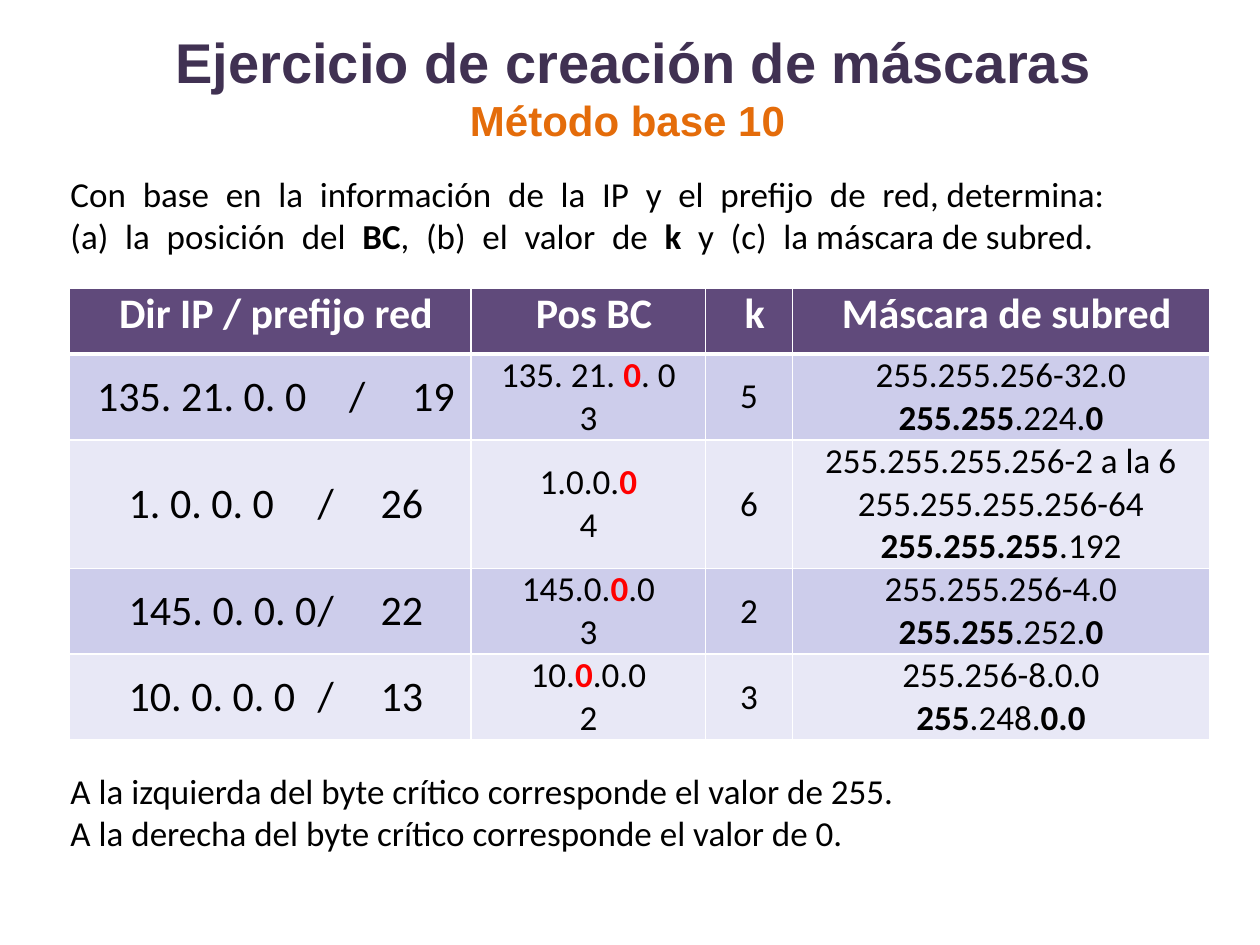
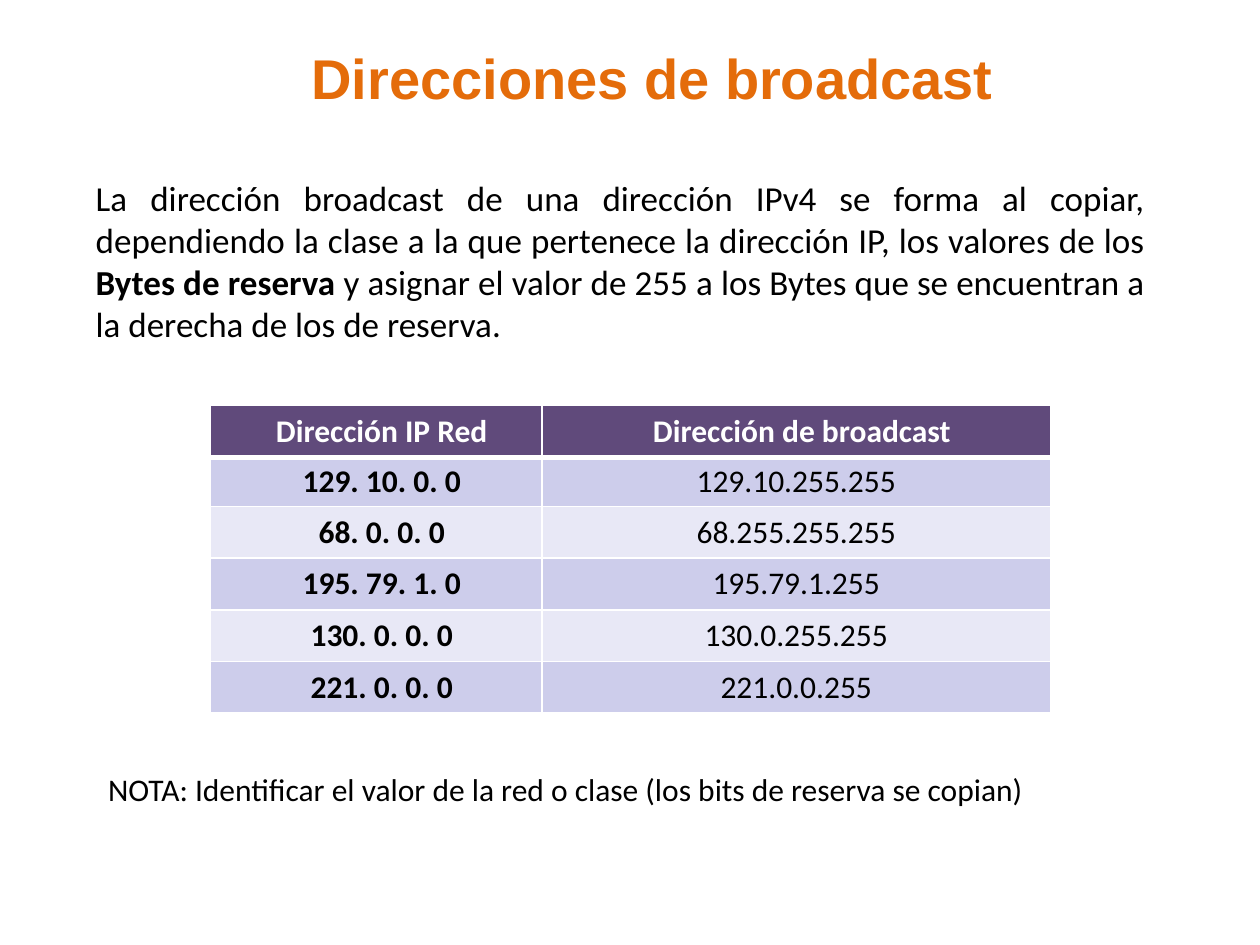
import pptx
import pptx.util
import pptx.dml.color
import pptx.enum.text
from lxml import etree
from pptx.oxml.ns import qn

HUES = {
    "ink": "000000", "paper": "FFFFFF", "plum": "403152", "orange": "E46C0A",
    "head": "604A7B", "dark": "CDCDEB", "light": "E8E8F6", "red": "FF0000",
}
WIDE, HIGH = 10, 7.5  # columns and rows of the slide's grid
BODY, TITLE = "Calibri", "Arial"
GAP = 5  # points added to a wide word space
ALIGN = pptx.enum.text.PP_ALIGN
ANCHOR = pptx.enum.text.MSO_ANCHOR
UNIT = pptx.util.Inches(1)


def span(count):
    return pptx.util.Emu(round(count * UNIT))


def hue(name):
    return pptx.dml.color.RGBColor.from_string(HUES[name])


def write(para, text, size, color="ink", face=BODY, bold=False,
          align=ALIGN.CENTER, indent=0, tabs=(), mark=None):
    """Fill a paragraph; *stars* hold bold text, _ is a wide word space."""
    para.alignment = align
    props = para._p.get_or_add_pPr()
    props.set("marL", str(span(indent)))
    props.set("indent", "0")
    if tabs:
        stops = etree.SubElement(props, qn("a:tabLst"))
        for stop in tabs:
            etree.SubElement(stops, qn("a:tab"), pos=str(span(stop)), algn="l")
    font = para.font
    font.name, font.size, font.bold = face, pptx.util.Pt(size), bold
    font.color.rgb = hue(color)
    for turn, part in enumerate(text.split("*")):
        for step, piece in enumerate(part.split("_")):
            if step:
                gap = para.add_run()
                gap.text = " "
                gap._r.get_or_add_rPr().set("spc", str(GAP * 100))
            if piece:
                run = para.add_run()
                run.text = piece
                if turn % 2:
                    run.font.bold = True
                    if mark:
                        run.font.color.rgb = hue(mark)


def fill(frame, lines, **style):
    """Write one paragraph for each line; a line is text or (text, style)."""
    for place, line in enumerate(lines):
        text, extra = (line, {}) if isinstance(line, str) else line
        para = frame.paragraphs[0] if place == 0 else frame.add_paragraph()
        write(para, text, **{**style, **extra})


def pad(frame, left=0, top=0, right=0, bottom=0):
    frame.margin_left, frame.margin_top = span(left), span(top)
    frame.margin_right, frame.margin_bottom = span(right), span(bottom)
    frame.word_wrap = True
    frame.auto_size = pptx.enum.text.MSO_AUTO_SIZE.NONE


def head(slide, box, lines, inset):
    title = slide.shapes.title
    title.left, title.top, title.width, title.height = map(span, box)
    pad(title.text_frame, *inset)
    title.text_frame.vertical_anchor = ANCHOR.MIDDLE
    fill(title.text_frame, lines, size=32, color="orange", face=TITLE, bold=True)


def prose(slide, box, lines, size=20, align=ALIGN.JUSTIFY, inset=(0, 0, 0, 0)):
    frame = slide.shapes.add_textbox(*map(span, box)).text_frame
    pad(frame, *inset)
    fill(frame, lines, size=size, align=align, indent=0.01)


def edge(cell, widths):
    """Draw white borders; widths are points for left, right, top, bottom."""
    props = cell._tc.get_or_add_tcPr()
    for side, width in zip("LRTB", widths):
        line = etree.SubElement(props, qn("a:ln" + side), w=str(pptx.util.Pt(width)))
        solid = etree.SubElement(line, qn("a:solidFill"))
        etree.SubElement(solid, qn("a:srgbClr"), val=HUES["paper"])


def grid(slide, spot, cols, rows, data, style):
    """Place a table; style(row, col) gives the text style of a cell."""
    box = (*spot, sum(cols), sum(rows))
    table = slide.shapes.add_table(len(rows), len(cols), *map(span, box)).table
    for col, width in zip(table.columns, cols):
        col.width = span(width)
    for row, height in zip(table.rows, rows):
        row.height = span(height)
    for r, record in enumerate(data):
        for c, text in enumerate(record):
            cell = table.cell(r, c)
            edge(cell, (1, 1, 3 if r == 1 else 1, 3 if r == 0 else 1))
            cell.fill.solid()
            cell.fill.fore_color.rgb = hue(
                "head" if r == 0 else "dark" if r % 2 else "light")
            cell.margin_left = cell.margin_right = 0
            cell.margin_top = cell.margin_bottom = 0
            look = dict(style(r, c))
            cell.vertical_anchor = look.pop("anchor", ANCHOR.MIDDLE)
            if r == 0:
                look.update(color="paper", bold=True)
            if r == 0 or c == 0:
                look["indent"] = 0.09
            fill(cell.text_frame, text.split("\n"), **look)


def masks(slide):
    head(slide, (0.08, 0.06, 9.8, 1.25), [
        ("Ejercicio de creación de máscaras", {"color": "plum", "indent": 0.1}),
        ("Método base 10", {"size": 24}),
    ], (0.1, 0.05, 0.1, 0.05))
    prose(slide, (0.55, 1.37, 8.5, 0.67), [
        "Con_base_en_la_información_de_la_IP_y_el_prefijo_de_red, determina:",
        "(a)_la_posición_del_*BC*,_(b)_el_valor_de_*k*_y_(c)_la máscara de subred.",
    ], align=ALIGN.LEFT)
    data = [
        ("Dir IP / prefijo red", "Pos BC", "k", "Máscara de subred"),
        ("135. 21. 0. 0\t/\t19", "135. 21. *0*. 0\n3", "5",
         "255.255.256-32.0\n*255.255*.224.*0*"),
        ("1. 0. 0. 0\t/\t26", "1.0.0.*0*\n4", "6",
         "255.255.255.256-2 a la 6\n255.255.255.256-64\n*255.255.255*.192"),
        ("145. 0. 0. 0\t/\t22", "145.0.*0*.0\n3", "2",
         "255.255.256-4.0\n*255.255*.252.*0*"),
        ("10. 0. 0. 0\t/\t13", "10.*0*.0.0\n2", "3",
         "255.256-8.0.0\n*255*.248.*0.0*"),
    ]
    stops = [None, (1.93, 2.19), (1.43, 1.68), (1.76, 2.02), (1.59, 1.85)]

    def style(r, c):
        if r == 0:
            return {"size": 24, "anchor": ANCHOR.TOP}
        if c == 0:
            return {"size": 24, "tabs": stops[r]}
        return {"size": 20, "mark": "red" if c == 1 else None}

    grid(slide, (0.55, 2.29), (3.19, 1.86, 0.69, 3.31),
         (0.52, 0.66, 1, 0.67, 0.67), data, style)
    prose(slide, (0.55, 6.11, 8.5, 0.67), [
        "A la izquierda del byte crítico corresponde el valor de 255.",
        "A la derecha del byte crítico corresponde el valor de 0.",
    ])


def casts(slide):
    head(slide, (-0.12, 0.13, 9, 0.75),
         [("Direcciones de broadcast", {"indent": 1.6})], (0, 0.21, 0, 0))
    prose(slide, (0.75, 1.4, 8.34, 1.35), [
        "La dirección broadcast de una dirección IPv4 se forma al copiar, "
        "dependiendo la clase a la que pertenece la dirección IP, los valores "
        "de los *Bytes de reserva* y asignar el valor de 255 a los Bytes que se "
        "encuentran a la derecha de los de reserva.",
    ])
    data = [
        ("Dirección IP Red", "Dirección de broadcast"),
        ("129. 10. 0. 0", "129.10.255.255"),
        ("68. 0. 0. 0", "68.255.255.255"),
        ("195. 79. 1. 0", "195.79.1.255"),
        ("130. 0. 0. 0", "130.0.255.255"),
        ("221. 0. 0. 0", "221.0.0.255"),
    ]
    grid(slide, (1.67, 3.22), (2.63, 4.04), (0.41, 0.39, *[0.41] * 4), data,
         lambda r, c: {"size": 18, "bold": c == 0})
    prose(slide, (0.75, 6.06, 8.34, 0.4), [
        "NOTA: Identificar el valor de la red o clase (los bits de reserva se copian)",
    ], size=18, inset=(0.1, 0.05, 0.1, 0.05))


def main():
    deck = pptx.Presentation()
    deck.slide_width, deck.slide_height = span(WIDE), span(HIGH)
    for build in (masks, casts):
        build(deck.slides.add_slide(deck.slide_layouts[5]))
    deck.save("out.pptx")


if __name__ == "__main__":
    main()
